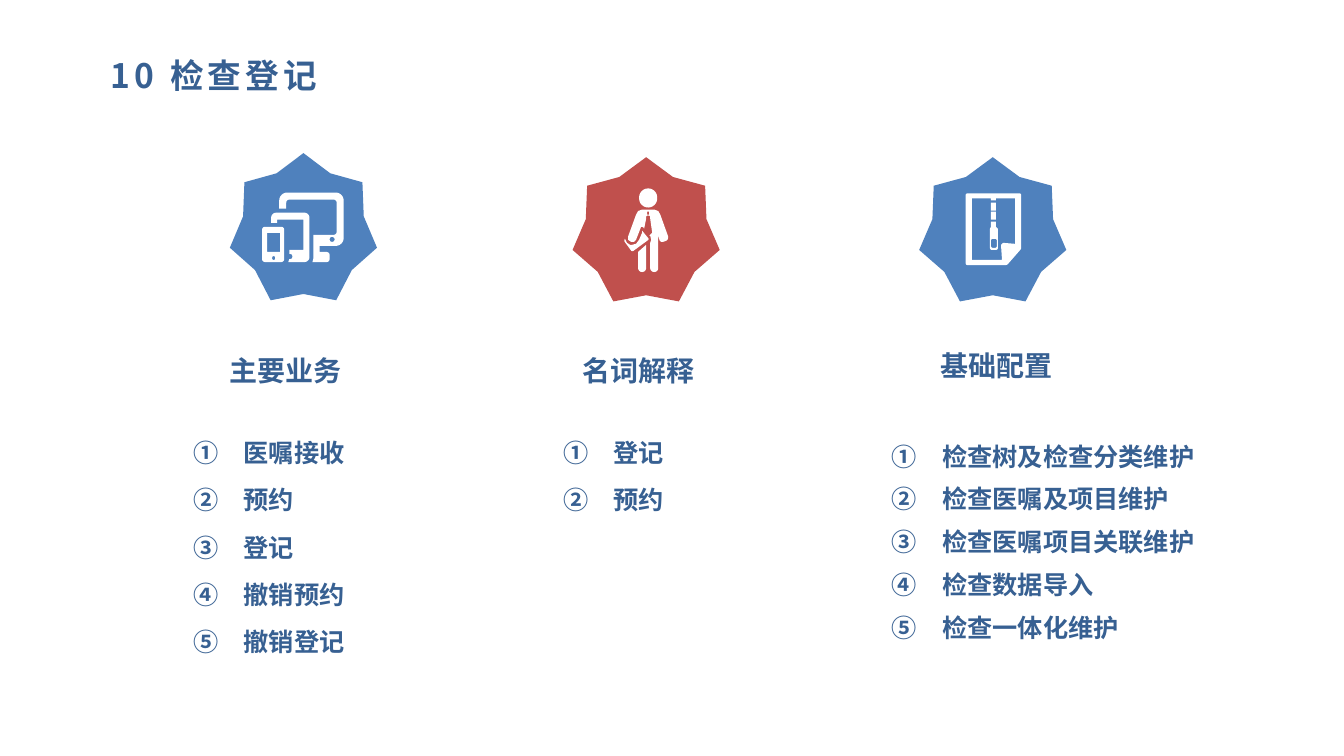
from lxml import etree
from pptx import Presentation
from pptx.dml.color import RGBColor
from pptx.enum.shapes import MSO_SHAPE
from pptx.enum.text import PP_ALIGN
from pptx.oxml.ns import qn
from pptx.util import Pt

STAR = MSO_SHAPE.STAR_7_POINT
LEFT, JUSTIFY = PP_ALIGN.LEFT, PP_ALIGN.JUSTIFY
SANS, ARIAL = "Noto Sans CJK SC", "Arial"
COLORS = {"blue": "4F81BD", "red": "C0504D", "text": "376092", "white": "FFFFFF"}
ICON_UNIT = 0.72
CURVE_STEPS = 6
CURVE_PULL = 0.55


def rectangle(left, top, right, bottom, radius=0):
    return [(left, top, radius), (right, top, radius),
            (right, bottom, radius), (left, bottom, radius)]


def outline(corners, left, top):
    points = []
    for index, (x, y, *rest) in enumerate(corners):
        radius = rest[0] if rest else 0
        ends = []
        for near in (corners[index - 1], corners[(index + 1) % len(corners)]):
            length = ((near[0] - x) ** 2 + (near[1] - y) ** 2) ** 0.5
            ends.append((x + (near[0] - x) * radius / length,
                         y + (near[1] - y) * radius / length))
        for step in range(CURVE_STEPS + 1 if radius else 1):
            t = step / CURVE_STEPS
            spot = []
            for corner, start, end in zip((x, y), *ends):
                first = start + (corner - start) * CURVE_PULL
                second = end + (corner - end) * CURVE_PULL
                spot.append(start * (1 - t) ** 3 + 3 * first * t * (1 - t) ** 2
                            + 3 * second * t * t * (1 - t) + end * t ** 3)
            points.append((Pt(left + spot[0] * ICON_UNIT), Pt(top + spot[1] * ICON_UNIT)))
    return points


devices = [
    rectangle(0, 34, 22, 69, 3),
    rectangle(5, 40, 18, 59),
    rectangle(10, 63, 13, 67, 1.5),
    rectangle(67, 44, 72, 49, 2.5),
    [(9, 20, 5), (47, 20, 5), (47, 69, 5), (26, 69), (27, 66), (30, 66, 2), (30, 61, 2),
     (27, 61), (27, 57), (41, 57), (41, 27), (15, 27), (15, 30), (9, 30)],
    [(17, 0, 8), (81, 0, 8), (81, 53, 8), (57, 53), (57, 59), (67, 59, 3), (67, 69, 3),
     (50, 69), (51, 65), (51, 42), (74, 42, 3), (74, 7, 3), (24, 7, 3), (24, 16), (17, 16)],
]
person = [
    rectangle(15, 0, 33, 19, 9),
    rectangle(23, 23, 25, 26),
    [(22, 56), (22, 83, 4), (14, 83, 4), (14, 63)],
    [(18, 42), (25, 50.5, 1.5), (8, 63, 1.5), (0, 52, 1.5), (1, 50), (3, 54),
     (6, 56), (8, 56), (12, 55), (15, 51), (18, 44)],
    [(12, 26), (14, 22.5), (18, 21), (30, 21), (34, 22.5), (36, 26), (45, 51, 4), (36, 54, 3),
     (34, 47), (34, 83, 4), (26, 83, 4), (26, 54), (27, 51), (26, 47), (25, 47), (28, 44),
     (26, 30), (26, 28), (25, 27), (23, 27), (22, 28), (22, 30), (20, 40), (19, 38.5),
     (17, 38), (12, 51), (10, 53), (7, 53), (4, 51), (4, 48)],
]
archive = [
    [(0, 0, 1.5), (55, 0, 1.5), (55, 55, 1), (41, 71, 1), (0, 71, 1.5)],
    [(49, 50), (37, 49), (35, 51), (36, 66), (6, 66), (6, 5), (25, 5), (25, 7),
     (30, 7), (30, 5), (49, 5)],
    rectangle(25, 9, 30, 17),
    rectangle(25, 18, 30, 26),
    [(25, 28), (30, 28), (30, 33), (32, 35), (32, 56, 2), (24, 56, 2), (24, 35), (25, 33)],
    rectangle(25, 45, 31, 54, 2),
]

deck = Presentation()
deck.slide_width, deck.slide_height = Pt(960), Pt(540)
page = deck.slides.add_slide(deck.slide_layouts[6])

badges = [
    (164.2, 109.4, 105.1, "blue", devices, 187.2, 137.5),
    (409, 112.3, 103, "red", person, 445.7, 134.6),
    (656.6, 112.3, 103, "blue", archive, 689.8, 138.2),
]
for left, top, height, color, contours, icon_left, icon_top in badges:
    star = page.shapes.add_shape(STAR, Pt(left), Pt(top), Pt(105.1), Pt(height))
    star.adjustments[0] = 0.41
    paths = [outline(corners, icon_left, icon_top) for corners in contours]
    builder = page.shapes.build_freeform(*paths[0][0])
    builder.add_line_segments(paths[0][1:])
    for points in paths[1:]:
        builder.move_to(*points[0])
        builder.add_line_segments(points[1:])
    icon = builder.convert_to_shape()
    for shape, fill in ((star, color), (icon, "white")):
        shape.shadow.inherit = False
        shape.fill.solid()
        shape.fill.fore_color.rgb = RGBColor.from_string(COLORS[fill])
        shape.line.fill.background()

headings = [
    (71.6, 35.7, 735, 42, 24, 3, "10 检查登记"),
    (157, 249.1, 172.8, 27.4, 20, 0, "主要业务"),
    (409, 249.1, 155.5, 27.4, 20, 0, "名词解释"),
    (664.6, 245.5, 134.6, 28.8, 20, 0, "基础配置"),
]
for left, top, width, height, size, tracking, words in headings:
    box = page.shapes.add_textbox(Pt(left), Pt(top), Pt(width), Pt(height))
    box.text_frame.word_wrap = True
    span = box.text_frame.paragraphs[0].add_run()
    span.text = words
    span.font.size, span.font.bold, span.font.name = Pt(size), True, SANS
    span.font.color.rgb = RGBColor.from_string(COLORS["text"])
    properties = span.font._element
    etree.SubElement(properties, qn("a:ea")).set("typeface", SANS)
    if tracking:
        properties.set("spc", str(tracking * 100))

lists = [
    (131, 309.1, 198.7, 159, JUSTIFY, 6, 6,
     ["医嘱接收", "预约", "登记", "撤销预约", "撤销登记"]),
    (395.3, 309.1, 222.5, 70, JUSTIFY, 6, 6, ["登记", "预约"]),
    (630, 311.4, 324, 151, LEFT, 9, 0,
     ["检查树及检查分类维护", "检查医嘱及项目维护", "检查医嘱项目关联维护",
      "检查数据导入", "检查一体化维护"]),
]
for left, top, width, height, alignment, before, after, items in lists:
    box = page.shapes.add_textbox(Pt(left), Pt(top), Pt(width), Pt(height))
    frame = box.text_frame
    frame.word_wrap = True
    for index, item in enumerate(items):
        para = frame.add_paragraph() if index else frame.paragraphs[0]
        para.alignment = alignment
        para.space_before = Pt(before if index else 0)
        para.space_after = Pt(after)
        properties = para._p.get_or_add_pPr()
        properties.set("marL", str(Pt(36)))
        properties.set("indent", str(-Pt(36)))
        bullet = etree.SubElement(properties, qn("a:buAutoNum"))
        bullet.set("type", "circleNumDbPlain")
        span = para.add_run()
        span.text = item
        span.font.size, span.font.bold, span.font.name = Pt(18), True, ARIAL
        span.font.color.rgb = RGBColor.from_string(COLORS["text"])

deck.save("out.pptx")
